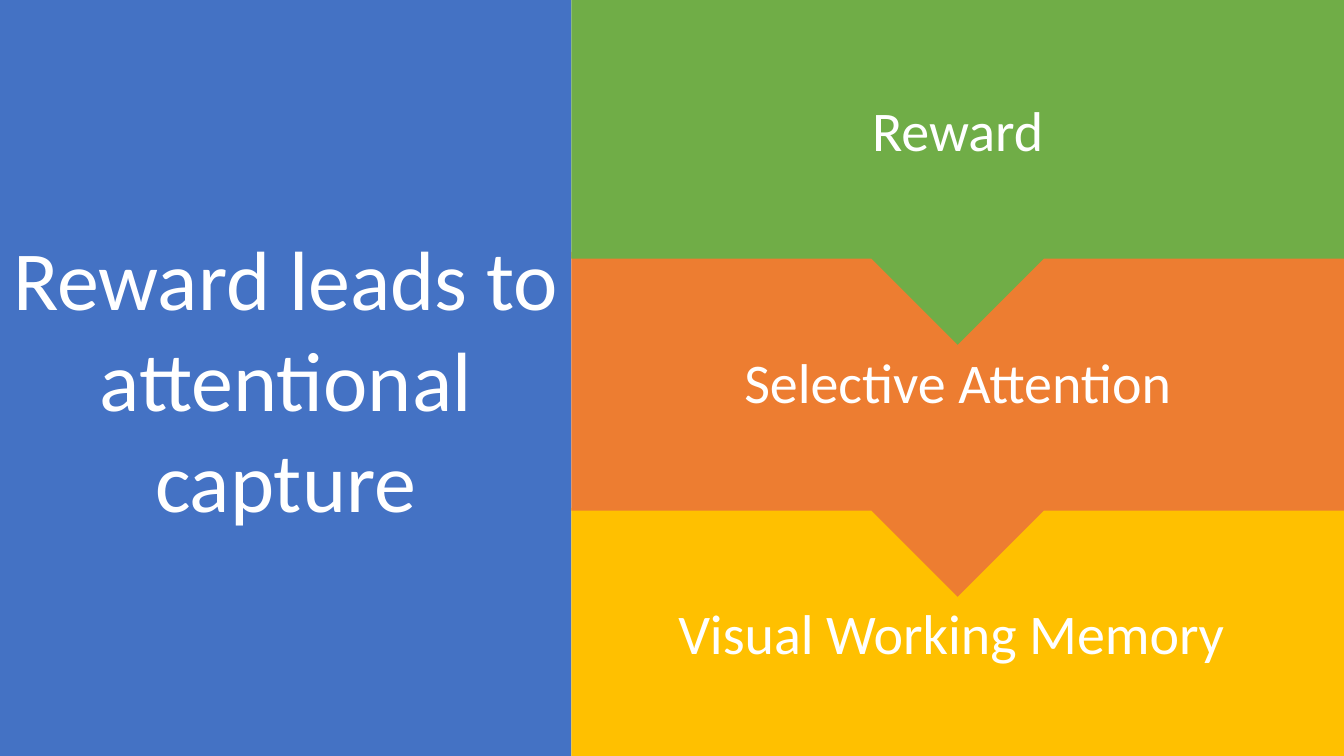
"""Build the slide on how reward leads to attentional capture."""
from pptx import Presentation
from pptx import util as u
from pptx.dml.color import RGBColor
from pptx.enum import shapes, text

COLORS = {"claim": "4472C4", "reward": "70AD47", "attention": "ED7D31",
          "memory": "FFC000", "text": "FFFFFF"}
SLIDE_W, SLIDE_H = 33.87, 19.05
CLAIM_W = 14.4
STAGE_STEP, STAGE_H = 6.35, 8.69
MEMORY_TOP = 12.8
CALLOUT = (0.5, 0.25, 0.25, 0.75)


class SlideBuilder:
    """Hold the slide's style and add its elements."""

    frame_format = {"word_wrap": True, "auto_size": text.MSO_AUTO_SIZE.NONE,
                    "vertical_anchor": text.MSO_ANCHOR.MIDDLE}
    font_format = {"name": "Calibri", "bold": False}

    def __init__(self, deck):
        """Start a title-only slide."""
        self.slide = deck.slides.add_slide(deck.slide_layouts[5])

    def style(self, panel, wording, color, size):
        """Fill a panel and write centred text in it."""
        panel.fill.solid()
        panel.fill.fore_color.rgb = RGBColor.from_string(COLORS[color])
        panel.line.fill.background()
        frame = panel.text_frame
        frame.text = wording
        line = frame.paragraphs[0]
        line.alignment = text.PP_ALIGN.CENTER
        font = line.runs[0].font
        font.color.rgb = RGBColor.from_string(COLORS["text"])
        formats = ((frame, self.frame_format),
                   (font, {**self.font_format, "size": u.Pt(size)}))
        for target, values in formats:
            for key, value in values.items():
                setattr(target, key, value)

    def title(self, wording, box, color):
        """Turn the title placeholder into a filled panel."""
        claim = self.slide.shapes.title
        for side, length in zip(("left", "top", "width", "height"), box):
            setattr(claim, side, u.Cm(length))
        self.style(claim, wording, color, 60)

    def stage(self, wording, box, color, kind, adjustments=()):
        """Add one coloured stage of the sequence."""
        panel = self.slide.shapes.add_shape(kind, *map(u.Cm, box))
        panel.shadow.inherit = False
        for index, value in enumerate(adjustments):
            panel.adjustments[index] = value
        self.style(panel, wording, color, 40)


def main():
    """Build and save the slide."""
    deck = Presentation()
    deck.slide_width, deck.slide_height = u.Cm(SLIDE_W), u.Cm(SLIDE_H)
    builder = SlideBuilder(deck)
    builder.title("Reward leads to attentional capture",
                  (0, 0, CLAIM_W, SLIDE_H), "claim")
    stage_w = SLIDE_W - CLAIM_W
    builder.stage("Visual Working Memory ",
                  (CLAIM_W, MEMORY_TOP, stage_w, SLIDE_H - MEMORY_TOP),
                  "memory", shapes.MSO_SHAPE.RECTANGLE)
    callouts = (("Reward", "reward"), ("Selective Attention", "attention"))
    for row, (wording, color) in reversed(list(enumerate(callouts))):
        builder.stage(wording, (CLAIM_W, row * STAGE_STEP, stage_w, STAGE_H),
                      color, shapes.MSO_SHAPE.DOWN_ARROW_CALLOUT, CALLOUT)
    deck.save("out.pptx")


if __name__ == "__main__":
    main()
